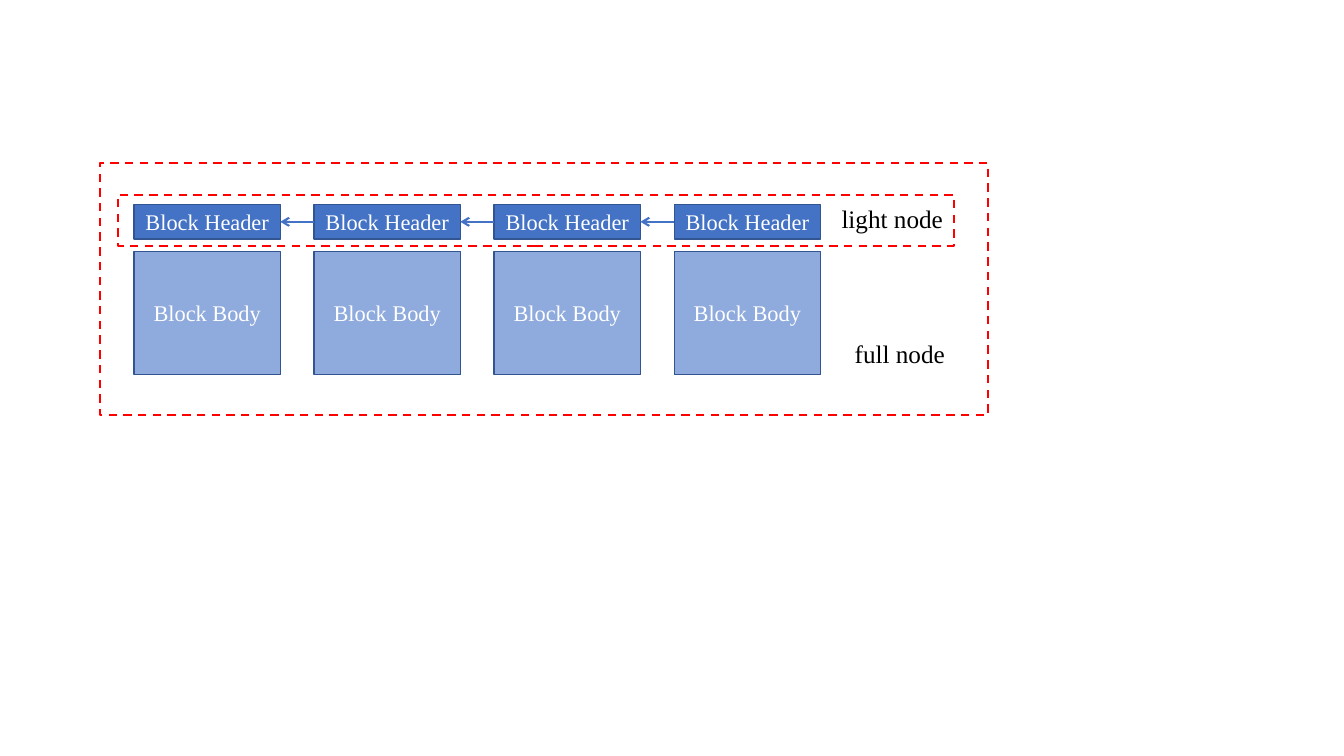
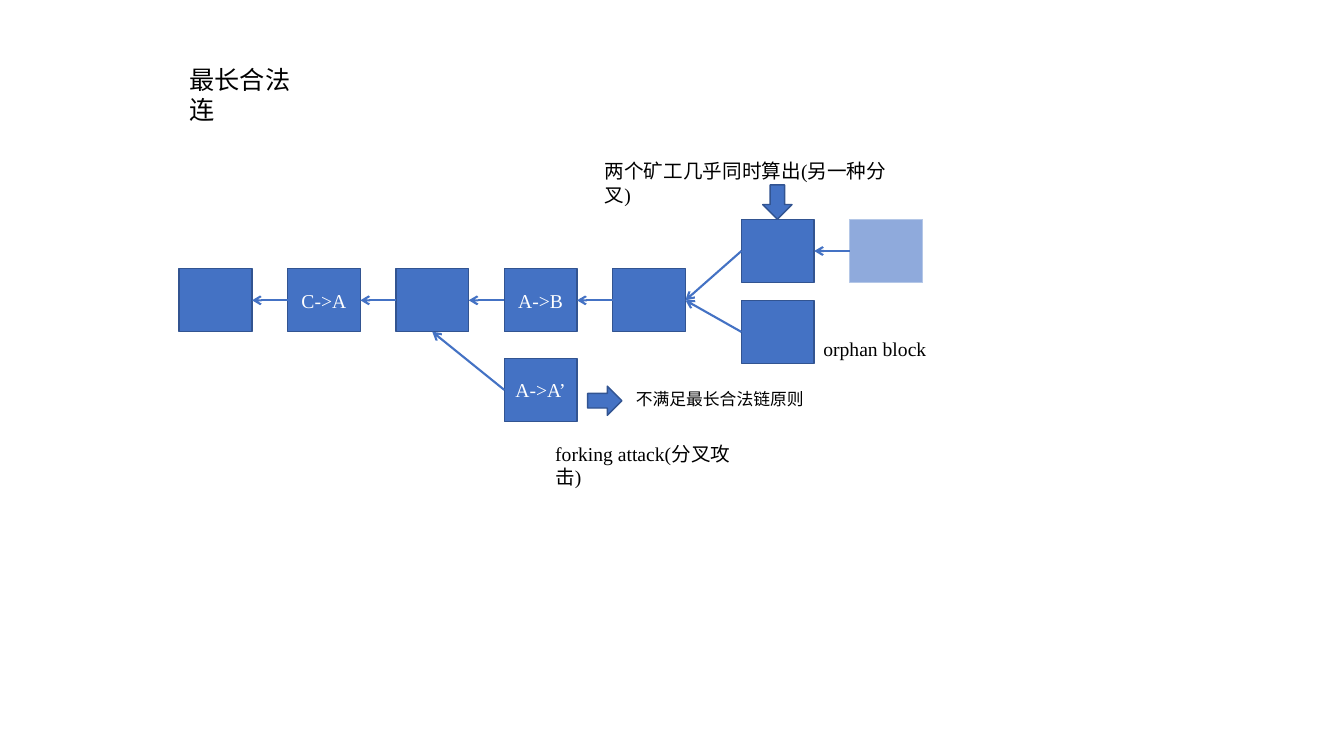
import pptx
import pptx.dml.color
import pptx.enum.dml
import pptx.enum.shapes
import pptx.enum.text
import pptx.oxml
import pptx.oxml.ns
import pptx.util
import lxml.etree

Pt = pptx.util.Pt
SHAPE = pptx.enum.shapes.MSO_SHAPE
BLUE, PALE, EDGE, SOFT = "4472C4", "8FAADC", "325491", "B4C7E7"
RED, WHITE, BLACK = "FF0000", "FFFFFF", "000000"
LATIN, HAN = "Times New Roman", "Noto Sans CJK SC"
TOP, LEFT, LOW, RIGHT = range(4)
TIGHT = dict.fromkeys(
    ("margin_left", "margin_right", "margin_top", "margin_bottom"), 0)
LABEL = {
    "auto_size": pptx.enum.text.MSO_AUTO_SIZE.NONE,
    "vertical_anchor": pptx.enum.text.MSO_ANCHOR.TOP,
}


def apply(item, values):
    for name, value in values.items():
        setattr(item, name, value)


def paint(fill, color):
    fill.solid()
    fill.fore_color.rgb = pptx.dml.color.RGBColor.from_string(color)


def place(item, box):
    apply(item, dict(zip(("left", "top", "width", "height"), map(Pt, box))))


def write(frame, text, size, color, font, align):
    para = frame.paragraphs[0]
    para.alignment = align
    run = para.add_run()
    run.text = text
    apply(run.font, {"size": Pt(size), "name": font})
    paint(run.font.fill, color)
    props = run._r.get_or_add_rPr()
    lxml.etree.SubElement(props, pptx.oxml.ns.qn("a:ea"), typeface=HAN)


def stroke(line, color, width):
    line.width = Pt(width)
    paint(line.fill, color)


def shape(slide, box, kind=SHAPE.RECTANGLE, fill=BLUE, edge=EDGE):
    item = slide.shapes.add_shape(kind, *map(Pt, box))
    item.shadow.inherit = False
    paint(item.fill, fill)
    stroke(item.line, edge, 1)
    return item


def block(slide, box, text="", size=14, **style):
    item = shape(slide, box, **style)
    if text:
        apply(item.text_frame, TIGHT)
        write(item.text_frame, text, size, WHITE, LATIN,
              pptx.enum.text.PP_ALIGN.CENTER)
    return item


def frame(slide, box):
    item = shape(slide, box)
    item.fill.background()
    stroke(item.line, RED, 1.5)
    item.line.dash_style = pptx.enum.dml.MSO_LINE.DASH


def link(slide, start, end, side=RIGHT):
    item = slide.shapes.add_connector(
        pptx.enum.shapes.MSO_CONNECTOR.STRAIGHT, 0, 0, 0, 0)
    item.begin_connect(start, LEFT)
    item.end_connect(end, side)
    stroke(item.line, BLUE, 1.5)
    line = item.line._get_or_add_ln()
    lxml.etree.SubElement(line, pptx.oxml.ns.qn("a:tailEnd"), type="arrow")
    lxml.etree.SubElement(
        item._element.spPr, pptx.oxml.ns.qn("a:effectLst"))


def chain(slide, blocks):
    for end, start in zip(blocks, blocks[1:]):
        link(slide, start, end)


def fit(item, text, size, font, wrap):
    apply(item.text_frame, {**LABEL, "word_wrap": wrap})
    write(item.text_frame, text, size, BLACK, font,
          pptx.enum.text.PP_ALIGN.LEFT)


def label(slide, box, text, size, font=LATIN, wrap=False):
    item = slide.shapes.add_textbox(*map(Pt, box))
    fit(item, text, size, font, wrap)


def title(slide, box, text):
    item = slide.shapes.title
    place(item, box)
    fit(item, text, 18, HAN, False)


def nodes(slide):
    frame(slide, (84.2, 139, 597, 36.7))
    heads = []
    for col in range(4):
        left = 95.8 + col * 128.6
        heads.append(block(
            slide, (left, 146.2, 104.4, 24.5), "Block Header", 16))
        block(slide, (left, 179.6, 104.4, 87.8), "Block Body", 16, fill=PALE)
    chain(slide, heads)
    label(slide, (594, 141.8, 87.1, 29), "light node", 18)
    frame(slide, (71.3, 116.5, 634.5, 180))
    label(slide, (603.4, 238.3, 79.2, 29), "full node", 18)


def forks(slide):
    wide, high, step, left, row = 52, 45, 77.4, 128, 192
    title(slide, (128.2, 42.5, 104.4, 29), "最长合法连")
    main_row = [
        block(slide, (left + col * step, row, wide, high), text)
        for col, text in enumerate(("", "C->A", "", "A->B", ""))]
    chain(slide, main_row)

    attack = block(slide, (left + 3 * step, 256, wide, high), "A->A’")
    link(slide, attack, main_row[2], LOW)
    shape(slide, (419.8, 275.8, 24.5, 20.9), SHAPE.RIGHT_ARROW)
    label(slide, (447.1, 274.3, 134.6, 21.6), "不满足最长合法链原则", 12, HAN)
    label(slide, (389.5, 311.8, 157.7, 24.5),
          "forking attack(分叉攻击)", 14, wrap=True)

    fork = 529.6
    upper, orphan = [
        block(slide, (fork, top, wide, high)) for top in (156.8, 214.6)]
    for item in (upper, orphan):
        link(slide, item, main_row[-1])
    later = block(slide, (fork + step, 156.8, wide, high),
                  fill=PALE, edge=SOFT)
    link(slide, later, upper)
    label(slide, (424.8, 110.2, 234, 24.5),
          "两个矿工几乎同时算出(另一种分叉)", 14, wrap=True)
    down = shape(slide, (543, 133.9, 24.5, 20.9), SHAPE.RIGHT_ARROW)
    down.rotation = 90
    label(slide, (581, 236.9, 87.8, 24.5), "orphan block", 14)


def main():
    deck = pptx.Presentation()
    apply(deck, {"slide_width": Pt(960), "slide_height": Pt(540)})
    for layout, draw in ((6, nodes), (5, forks)):
        draw(deck.slides.add_slide(deck.slide_layouts[layout]))
    deck.save("out.pptx")


main()
